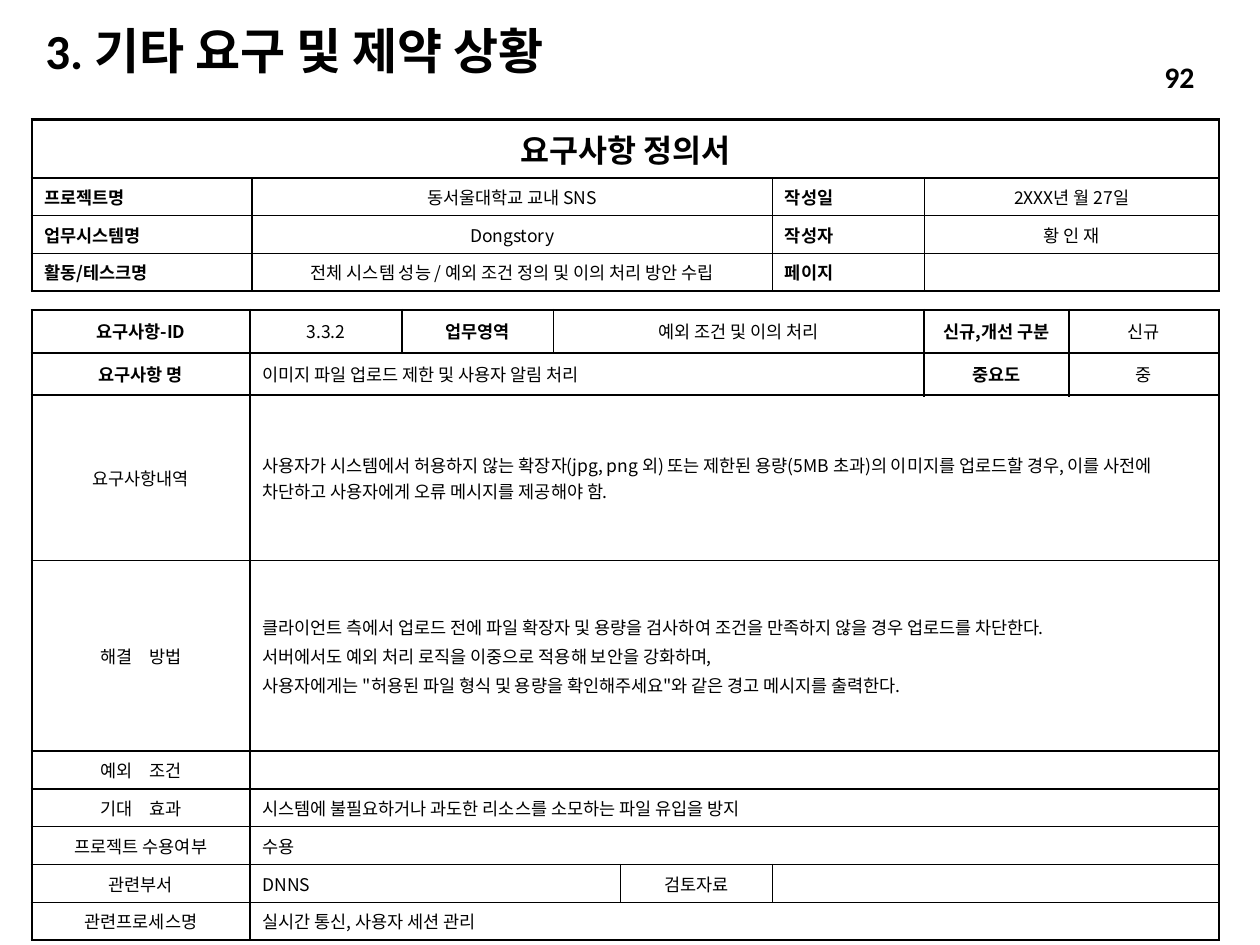
from dataclasses import dataclass

from lxml import etree
from pptx import Presentation
from pptx.dml.color import RGBColor
from pptx.enum import text as t
from pptx.oxml import ns
from pptx.util import Cm, Pt


@dataclass(frozen=True)
class Theme:
    ink: RGBColor = RGBColor(0, 0, 0)
    heading_font: str = "Calibri"
    table_font: str = "Noto Sans CJK KR"
    title_size: float = 28
    number_size: float = 17
    form_title_size: float = 18
    cell_size: float = 10
    thin: float = 1
    thick: float = 1.5
    paragraph_gap: float = 2


@dataclass(frozen=True)
class Entry:
    """Text of one table cell and the number of columns it covers."""
    text: str = ""
    span: int = 1
    align: t.PP_ALIGN = t.PP_ALIGN.CENTER
    bold: bool = False
    size: float = Theme.cell_size


THEME = Theme()
LEFT, CENTER, JUSTIFY, RIGHT = (
    t.PP_ALIGN.LEFT, t.PP_ALIGN.CENTER, t.PP_ALIGN.JUSTIFY, t.PP_ALIGN.RIGHT)
MIDDLE, TOP = t.MSO_ANCHOR.MIDDLE, t.MSO_ANCHOR.TOP


def label(text, align=CENTER):
    return Entry(text, align=align, bold=True)


def info_row(name, value, side_name, side_value):
    return [label(name, JUSTIFY), Entry(value),
            label(side_name, JUSTIFY), Entry(side_value)]


def wide_row(name, value):
    return [Entry(name), Entry(value, 7, LEFT)]


FORM_COLUMNS = [4.44, 10.49, 3.07, 5.93]
FORM_HEIGHTS = [1.17] + [0.69] * 3
FORM_ROWS = [
    [Entry("요구사항 정의서", 4, bold=True, size=THEME.form_title_size)],
    info_row("프로젝트명", "동서울대학교 교내 SNS", "작성일", "2XXX년 월 27일"),
    info_row("업무시스템명", "Dongstory", "작성자", "황 인 재"),
    info_row("활동/테스크명", "전체 시스템 성능 / 예외 조건 정의 및 이의 처리 방안 수립",
             "페이지", ""),
]

DETAIL_COLUMNS = [4.4, 3.06, 3.06, 1.35, 3.06, 3.06, 2.92, 3.02]
DETAIL_HEIGHTS = [0.86, 0.86, 3.33, 3.84] + [0.69] * 5
DETAIL_ROWS = [
    [label("요구사항-ID"), Entry("3.3.2"), label("업무영역"),
     Entry("예외 조건 및 이의 처리", 3), label("신규,개선 구분"), Entry("신규")],
    [label("요구사항 명"),
     Entry("이미지 파일 업로드 제한 및 사용자 알림 처리", 5, LEFT),
     label("중요도"), Entry("중")],
    wide_row("요구사항내역",
             "사용자가 시스템에서 허용하지 않는 확장자(jpg, png 외) 또는 "
             "제한된 용량(5MB 초과)의 이미지를 업로드할 경우, 이를 사전에 "
             "차단하고 사용자에게 오류 메시지를 제공해야 함."),
    wide_row("해결　방법",
             "클라이언트 측에서 업로드 전에 파일 확장자 및 용량을 검사하여 "
             "조건을 만족하지 않을 경우 업로드를 차단한다.\n"
             "서버에서도 예외 처리 로직을 이중으로 적용해 보안을 강화하며,\n"
             "사용자에게는 \"허용된 파일 형식 및 용량을 확인해주세요\"와 같은 "
             "경고 메시지를 출력한다."),
    wide_row("예외　조건", ""),
    wide_row("기대　효과",
             "시스템에 불필요하거나 과도한 리소스를 소모하는 파일 유입을 방지"),
    wide_row("프로젝트 수용여부", "수용"),
    [Entry("관련부서"), Entry("DNNS", 3, LEFT), Entry("검토자료"), Entry("", 3, LEFT)],
    wide_row("관련프로세스명", "실시간 통신, 사용자 세션 관리"),
]


def style_font(font, name, size, bold):
    font.name, font.size, font.bold = name, Pt(size), bold
    font.color.rgb = THEME.ink


def set_borders(cell, widths):
    """Draw the left, right, top and bottom lines, with widths in points."""
    properties = cell._tc.get_or_add_tcPr()
    for side, width in zip("LRTB", widths):
        line = etree.SubElement(properties, ns.qn(f"a:ln{side}"), w=str(Pt(width)))
        fill = etree.SubElement(line, ns.qn("a:solidFill"))
        etree.SubElement(fill, ns.qn("a:srgbClr"), val=str(THEME.ink))


def fill_cell(cell, entry, anchor):
    cell.fill.background()
    cell.vertical_anchor = anchor
    cell.text = entry.text
    for index, paragraph in enumerate(cell.text_frame.paragraphs):
        paragraph.alignment = entry.align
        if index:
            paragraph.space_before = Pt(THEME.paragraph_gap)
        font = paragraph.font
        style_font(font, THEME.table_font, entry.size, entry.bold)
        etree.SubElement(font._element, ns.qn("a:ea"), typeface=THEME.table_font)
        if not entry.text:  # keeps an empty row from growing
            end = paragraph._p.get_or_add_endParaRPr()
            end.set("sz", str(int(entry.size * 100)))


def add_form_table(slide, top, columns, heights, rows, thick_lines, body_anchor):
    """Add a table; thick_lines are the indices of its heavy horizontal rules."""
    frame = slide.shapes.add_table(len(heights), len(columns), Cm(0.64), Cm(top),
                                   Cm(sum(columns)), Cm(sum(heights)))
    table = frame.table
    table.first_row = table.horz_banding = False
    for column, width in zip(table.columns, columns):
        column.width = Cm(width)
    for row, height in zip(table.rows, heights):
        row.height = Cm(height)

    def weight(is_thick):
        return THEME.thick if is_thick else THEME.thin

    for r, entries in enumerate(rows):
        start = 0
        for entry in entries:
            end = start + entry.span
            cell = table.cell(r, start)
            if entry.span > 1:
                cell.merge(table.cell(r, end - 1))
            set_borders(cell, [weight(start == 0), weight(end == len(columns)),
                               weight(r in thick_lines), weight(r + 1 in thick_lines)])
            fill_cell(cell, entry, body_anchor if r else MIDDLE)
            start = end


def place_heading(shape, box, text, size, align):
    shape.left, shape.top, shape.width, shape.height = (Cm(v) for v in box)
    frame = shape.text_frame
    frame.text = text
    frame.word_wrap = True
    frame.vertical_anchor = MIDDLE
    paragraph = frame.paragraphs[0]
    paragraph.alignment = align
    style_font(paragraph.font, THEME.heading_font, size, True)
    return paragraph


def main():
    presentation = Presentation()
    presentation.slide_width, presentation.slide_height = Cm(25.4), Cm(19.05)
    slide = presentation.slides.add_slide(presentation.slide_layouts[5])

    title = place_heading(slide.shapes.title, (0.66, 0.53, 13.61, 1.12),
                          "3. 기타 요구 및 제약 상황", THEME.title_size, LEFT)
    title.line_spacing = 0.9
    add_form_table(slide, 6.25, DETAIL_COLUMNS, DETAIL_HEIGHTS, DETAIL_ROWS,
                   {0, 1, 2, len(DETAIL_ROWS)}, MIDDLE)
    add_form_table(slide, 2.41, FORM_COLUMNS, FORM_HEIGHTS, FORM_ROWS,
                   {0, len(FORM_ROWS)}, TOP)
    number_box = slide.shapes.add_textbox(0, 0, 0, 0)
    place_heading(number_box, (20.22, 1.04, 4.11, 1.02), "92",
                  THEME.number_size, RIGHT)

    presentation.save("out.pptx")


if __name__ == "__main__":
    main()
